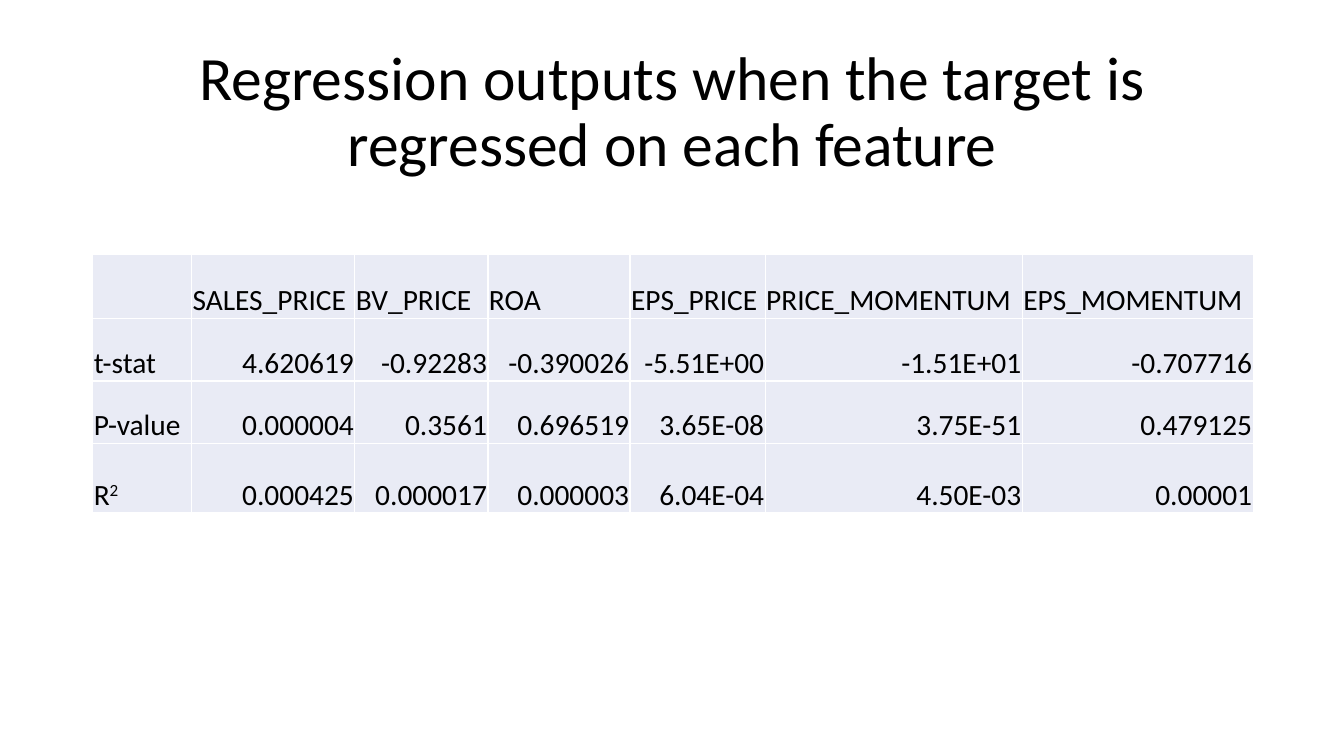
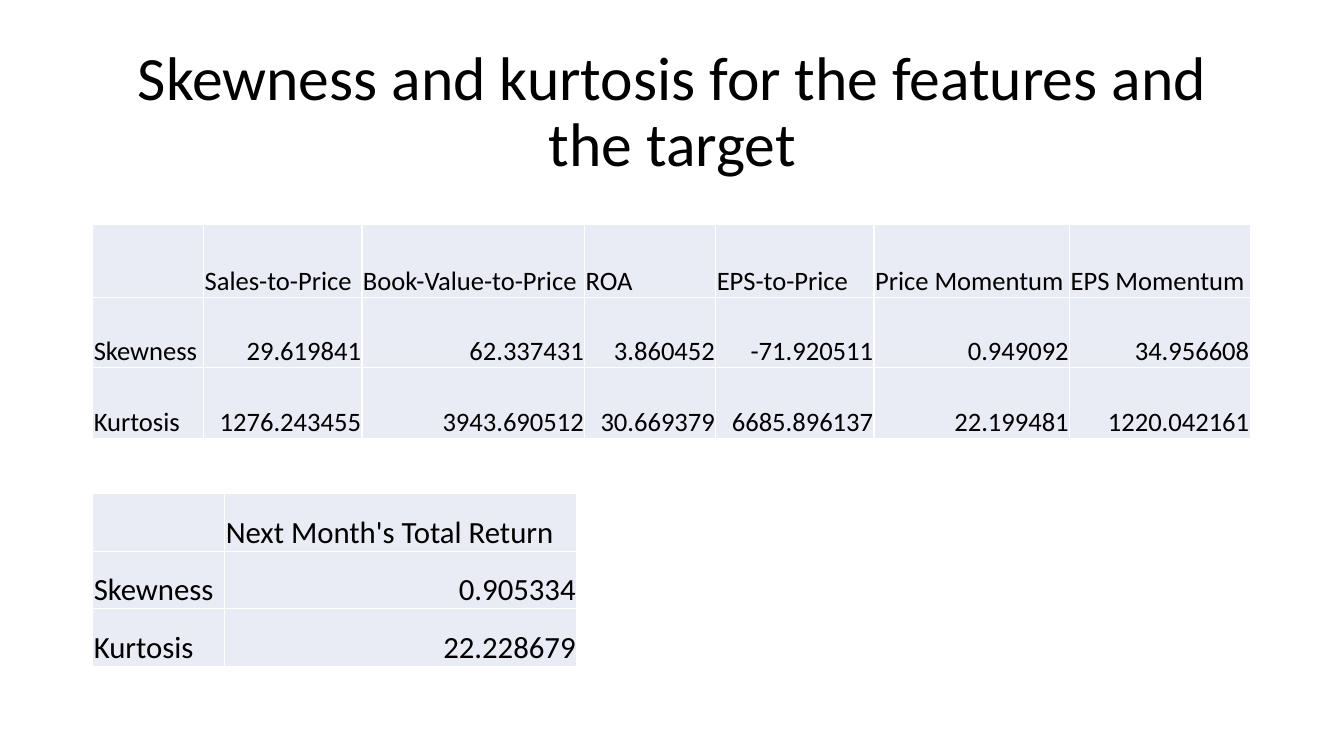
"""Builds two slides of regression and distribution statistics."""
from lxml.etree import SubElement
from pptx import Presentation
from pptx.dml.color import RGBColor
from pptx.enum.text import MSO_ANCHOR, PP_ALIGN
from pptx.oxml import parse_xml
from pptx.oxml.ns import nsdecls, qn
from pptx.util import Inches, Pt

INK = RGBColor(0x00, 0x00, 0x00)
CELL_FILL = RGBColor(0xE9, 0xEB, 0xF5)
GRID_LINE = RGBColor(0xFF, 0xFF, 0xFF)
FONT = "Calibri"
LEFT, CONTENT_WIDTH = 0.92, 11.5
TITLE_TOP, TITLE_HEIGHT, TITLE_SIZE = 0.4, 1.45, 44
CELL_INSET = 0.01

SLIDES = [
    {
        "title": "Regression outputs when the target is regressed on each feature",
        "tables": [
            {
                "top": 2.52,
                "size": 21,
                "columns": [0.98, 1.62, 1.32, 1.41, 1.34, 2.55, 2.29],
                "rows": [0.64, 0.62, 0.62, 0.69],
                "entries": [
                    ["", "SALES_PRICE", "BV_PRICE", "ROA", "EPS_PRICE",
                     "PRICE_MOMENTUM", "EPS_MOMENTUM"],
                    ["t-stat", "4.620619", "-0.92283", "-0.390026", "-5.51E+00",
                     "-1.51E+01", "-0.707716"],
                    ["P-value", "0.000004", "0.3561", "0.696519", "3.65E-08",
                     "3.75E-51", "0.479125"],
                    ["R^2", "0.000425", "0.000017", "0.000003", "6.04E-04",
                     "4.50E-03", "0.00001"],
                ],
            },
        ],
    },
    {
        "title": "Skewness and kurtosis for the features and the target",
        "tables": [
            {
                "top": 2.23,
                "size": 19,
                "columns": [1.1, 1.57, 2.21, 1.3, 1.57, 1.94, 1.79],
                "rows": [0.72, 0.7, 0.7],
                "entries": [
                    ["", "Sales-to-Price", "Book-Value-to-Price", "ROA",
                     "EPS-to-Price", "Price Momentum", "EPS Momentum"],
                    ["Skewness", "29.619841", "62.337431", "3.860452",
                     "-71.920511", "0.949092", "34.956608"],
                    ["Kurtosis", "1276.243455", "3943.690512", "30.669379",
                     "6685.896137", "22.199481", "1220.042161"],
                ],
            },
            {
                "top": 4.89,
                "size": 22,
                "columns": [1.31, 3.49],
                "rows": [0.58, 0.57, 0.57],
                "entries": [
                    ["", "Next Month's Total Return"],
                    ["Skewness", "0.905334"],
                    ["Kurtosis", "22.228679"],
                ],
            },
        ],
    },
]


def style_font(font, size):
    font.name = FONT
    font.size = Pt(size)
    font.color.rgb = INK


def add_title(slide, wording):
    title = slide.shapes.add_textbox(Inches(LEFT), Inches(TITLE_TOP),
                                     Inches(CONTENT_WIDTH), Inches(TITLE_HEIGHT))
    frame = title.text_frame
    frame.word_wrap = True
    frame.vertical_anchor = MSO_ANCHOR.MIDDLE
    frame.text = wording
    heading = frame.paragraphs[0]
    heading.alignment = PP_ALIGN.CENTER
    heading.line_spacing = 0.9
    style_font(heading.runs[0].font, TITLE_SIZE)


def add_borders(cell):
    properties = cell._tc.get_or_add_tcPr()
    for position, side in enumerate(("lnL", "lnR", "lnT", "lnB")):
        border = parse_xml(f'<a:{side} {nsdecls("a")} w="{Pt(1)}"/>')
        fill = SubElement(border, qn("a:solidFill"))
        SubElement(fill, qn("a:srgbClr"), val=str(GRID_LINE))
        properties.insert(position, border)


def fill_cell(cell, entry, size, is_value):
    cell.fill.solid()
    cell.fill.fore_color.rgb = CELL_FILL
    add_borders(cell)
    cell.margin_left = cell.margin_right = cell.margin_top = Inches(CELL_INSET)
    cell.margin_bottom = 0
    cell.vertical_anchor = MSO_ANCHOR.BOTTOM
    base, _, exponent = entry.partition("^")
    cell.text_frame.text = base
    line = cell.text_frame.paragraphs[0]
    line.alignment = PP_ALIGN.RIGHT if is_value else PP_ALIGN.LEFT
    if exponent:
        raised = line.add_run()
        raised.text = exponent
        raised.font._element.set("baseline", "30000")
    for run in line.runs:
        style_font(run.font, size)


def add_statistics(slide, top, size, columns, rows, entries):
    grid = slide.shapes.add_table(len(rows), len(columns), Inches(LEFT), Inches(top),
                                  Inches(sum(columns)), Inches(sum(rows))).table
    grid.first_row = grid.horz_banding = False
    for column, width in zip(grid.columns, columns):
        column.width = Inches(width)
    for row, height in zip(grid.rows, rows):
        row.height = Inches(height)
    for r, record in enumerate(entries):
        for c, entry in enumerate(record):
            fill_cell(grid.cell(r, c), entry, size, r > 0 and c > 0)


def main():
    deck = Presentation()
    deck.slide_width, deck.slide_height = Inches(13.33), Inches(7.5)
    for content in SLIDES:
        slide = deck.slides.add_slide(deck.slide_layouts[6])
        add_title(slide, content["title"])
        for statistics in content["tables"]:
            add_statistics(slide, **statistics)
    deck.save("out.pptx")


if __name__ == "__main__":
    main()
